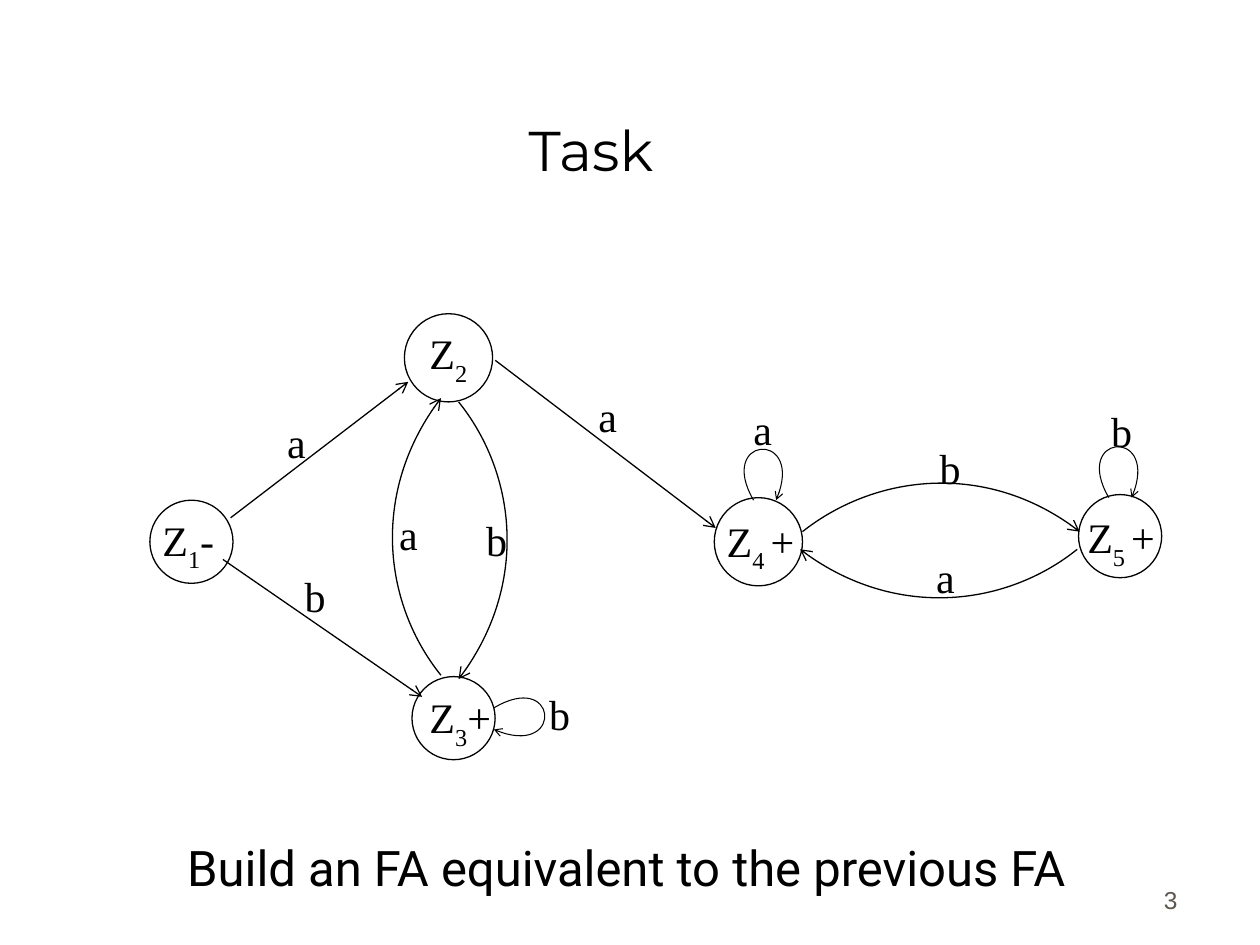
from dataclasses import dataclass

from lxml import etree
from pptx import Presentation
from pptx.dml.color import RGBColor
from pptx.enum.shapes import MSO_CONNECTOR, MSO_SHAPE
from pptx.enum.text import MSO_ANCHOR, PP_ALIGN
from pptx.oxml.ns import qn
from pptx.util import Pt

STRAIGHT = MSO_CONNECTOR.STRAIGHT
OVAL = MSO_SHAPE.OVAL
TOP, BOTTOM = MSO_ANCHOR.TOP, MSO_ANCHOR.BOTTOM
LEFT, CENTER, RIGHT = PP_ALIGN.LEFT, PP_ALIGN.CENTER, PP_ALIGN.RIGHT

BLACK, WHITE, GREY = "000000", "FFFFFF", "5E574E"
SERIF = "Times New Roman"
TITLE_ONLY = 5
CAPTION_WIDTH = 56.2
STATE_HEIGHT, LETTER_HEIGHT = 41, 36

Point = tuple[float, float]


@dataclass(frozen=True)
class State:
    center: Point
    diameter: float
    index: str
    sign: str
    caption_at: Point


@dataclass(frozen=True)
class Transition:
    """Two points make a straight arrow, four a cubic curve."""
    points: tuple[Point, ...]
    letter: str
    letter_at: Point
    is_loop: bool = False


STATES = [
    State((109.4, 309.6), 47.5, "1", "-", (85.7, 290.2)),
    State((256.3, 204.5), 50.4, "2", "", (238.3, 183.6)),
    State((259.2, 410.4), 47.5, "3", "+", (238.3, 391.7)),
    State((433.4, 309.6), 50.4, "4 ", "+", (408.2, 290.9)),
    State((640.1, 306.4), 47.5, "5 ", "+", (614.2, 288.7)),
]

TRANSITIONS = [
    Transition(((131.8, 295.9), (233.3, 218.2)), "a", (157, 234.7)),
    Transition(((127.4, 319.7), (241.2, 398.2)), "b", (167, 322.6)),
    Transition(((283, 205.9), (409, 301.7)), "a", (334.8, 219.6)),
    Transition(((252, 385.9), (219.6, 345.6), (211.7, 280.1), (252, 227.5)),
               "a", (221, 287.3)),
    Transition(((262.1, 229.7), (294.5, 270), (302.4, 335.5), (262.1, 388.1)),
               "b", (270.7, 290.2)),
    Transition(((458.6, 303.8), (499.7, 271.4), (565.2, 263.5), (617, 303.8)),
               "b", (529.9, 249.1)),
    Transition(((615.6, 313.9), (575.3, 346.3), (509.8, 354.2), (457.2, 313.9)),
               "a", (527.8, 311.8)),
    Transition(((282.2, 404.6), (318.2, 383), (322.6, 434.2), (282.2, 416.9)),
               "b", (306.7, 390.2), True),
    Transition(((430.6, 285.8), (409.7, 249.8), (460.8, 245.5), (443.5, 285.8)),
               "a", (423.4, 226.8), True),
    Transition(((633.6, 284.4), (612.7, 248.4), (663.8, 244.1), (646.6, 284.4)),
               "b", (627.8, 228.2), True),
]


def rgb(color: str) -> RGBColor:
    return RGBColor.from_string(color)


def format_run(run, font: str, size: float, color: str = BLACK) -> None:
    run.font.name = font
    run.font.size = Pt(size)
    run.font.color.rgb = rgb(color)


def add_text(slide, text: str, at: Point, size: Point, font: str,
             font_size: float, color: str = BLACK, align=LEFT, anchor=TOP):
    """Add a one-line text box and return its paragraph."""
    box = slide.shapes.add_textbox(*map(Pt, at + size))
    frame = box.text_frame
    frame.word_wrap = True
    frame.vertical_anchor = anchor
    frame.text = text
    paragraph = frame.paragraphs[0]
    paragraph.alignment = align
    format_run(paragraph.runs[0], font, font_size, color)
    return paragraph


def format_line(line, width: float) -> None:
    line.color.rgb = rgb(BLACK)
    line.width = Pt(width)


def add_state(slide, state: State) -> None:
    x, y = state.center
    radius = state.diameter / 2
    circle = slide.shapes.add_shape(
        OVAL, Pt(x - radius), Pt(y - radius), Pt(state.diameter), Pt(state.diameter))
    circle.shadow.inherit = False
    circle.fill.solid()
    circle.fill.fore_color.rgb = rgb(WHITE)
    format_line(circle.line, 0.75)


def add_state_caption(slide, state: State) -> None:
    caption = add_text(slide, "Z", state.caption_at,
                       (CAPTION_WIDTH, STATE_HEIGHT), SERIF, 24)
    for text, baseline in ((state.index, "-30000"), (state.sign, "0")):
        if text:
            run = caption.add_run()
            run.text = text
            format_run(run, SERIF, 24)
            run._r.get_or_add_rPr().set("baseline", baseline)


def add_curve(slide, points: tuple[Point, ...]):
    """Add a freeform whose three segments are merged into one cubic curve."""
    start, *rest = [(Pt(x), Pt(y)) for x, y in points]
    builder = slide.shapes.build_freeform(*start)
    builder.add_line_segments(rest, close=False)
    curve = builder.convert_to_shape()
    curve.shadow.inherit = False
    curve.fill.background()
    outline = curve._element.spPr.find(".//" + qn("a:path"))
    cubic = etree.SubElement(outline, qn("a:cubicBezTo"))
    for segment in outline.findall(qn("a:lnTo")):
        cubic.append(segment[0])
        outline.remove(segment)
    return curve


def add_transition(slide, transition: Transition) -> None:
    points = transition.points
    if len(points) == 2:
        arrow = slide.shapes.add_connector(
            STRAIGHT, *(Pt(value) for point in points for value in point))
    else:
        arrow = add_curve(slide, points)
    format_line(arrow.line, 0.6 if transition.is_loop else 0.75)
    head_size = "sm" if transition.is_loop else "med"
    properties = arrow._element.spPr
    etree.SubElement(properties.find(qn("a:ln")), qn("a:tailEnd"),
                     type="arrow", w=head_size, len=head_size)
    if properties.find(qn("a:effectLst")) is None:
        etree.SubElement(properties, qn("a:effectLst"))


def main() -> None:
    prs = Presentation()
    prs.slide_width, prs.slide_height = Pt(720), Pt(540)
    slide = prs.slides.add_slide(prs.slide_layouts[TITLE_ONLY])

    title = slide.shapes.title
    title.left, title.top, title.width, title.height = map(Pt, (31.7, 18, 612, 90))
    title.text_frame.text = "Task"
    title.text_frame.vertical_anchor = BOTTOM
    heading = title.text_frame.paragraphs[0]
    heading.alignment = CENTER
    format_run(heading.runs[0], "Montserrat", 32)

    for state in STATES:
        add_state(slide, state)
    for transition in TRANSITIONS:
        add_transition(slide, transition)
    for state in STATES:
        add_state_caption(slide, state)
    for transition in TRANSITIONS:
        add_text(slide, transition.letter, transition.letter_at,
                 (CAPTION_WIDTH, LETTER_HEIGHT), SERIF, 24)

    add_text(slide, "Build an FA equivalent to the previous FA", (36, 475),
             (643.7, 41), "Roboto", 28, align=CENTER)
    add_text(slide, "3", (530, 490.3), (150, 36), "Arial", 14, GREY, RIGHT, BOTTOM)
    prs.save("out.pptx")


if __name__ == "__main__":
    main()
